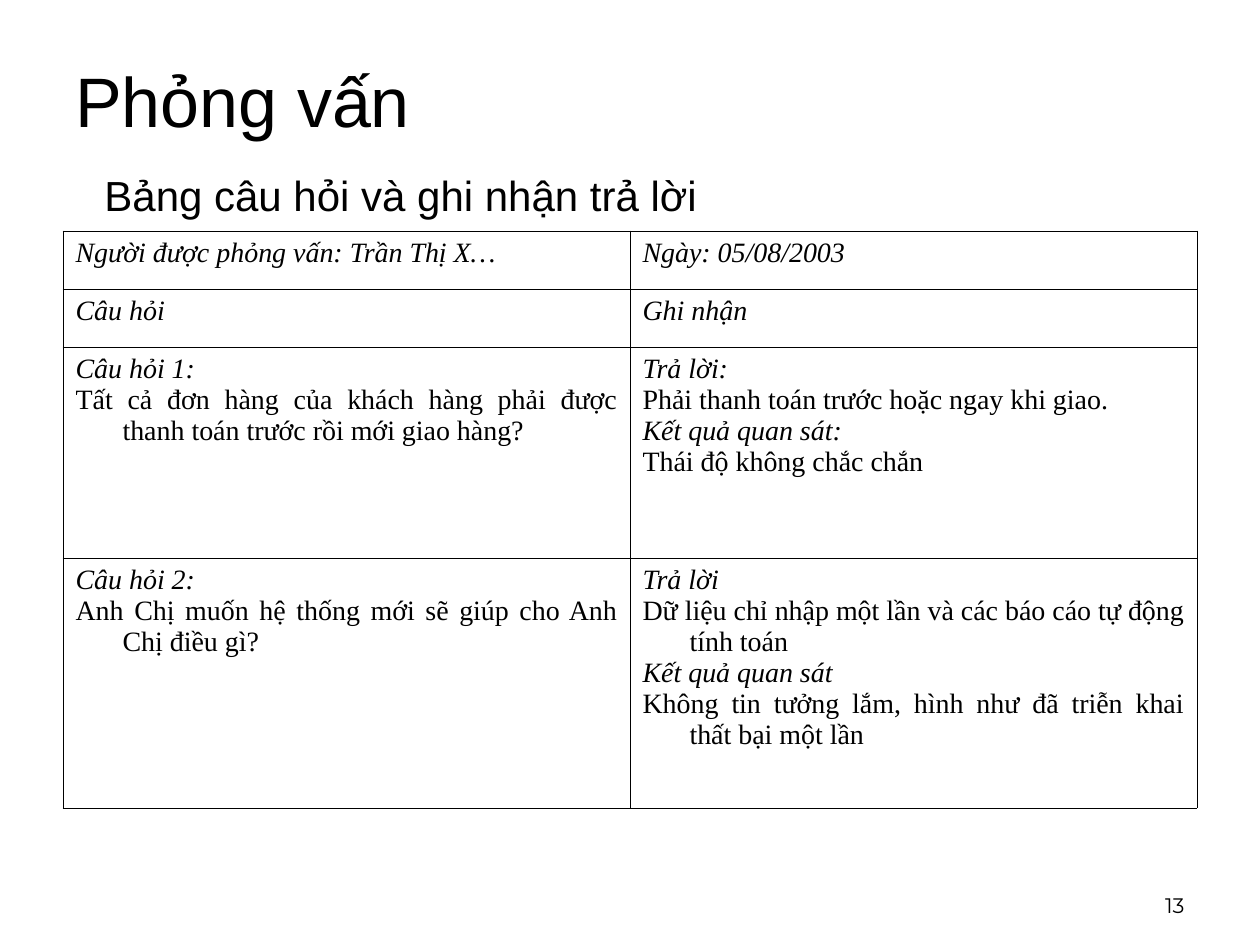
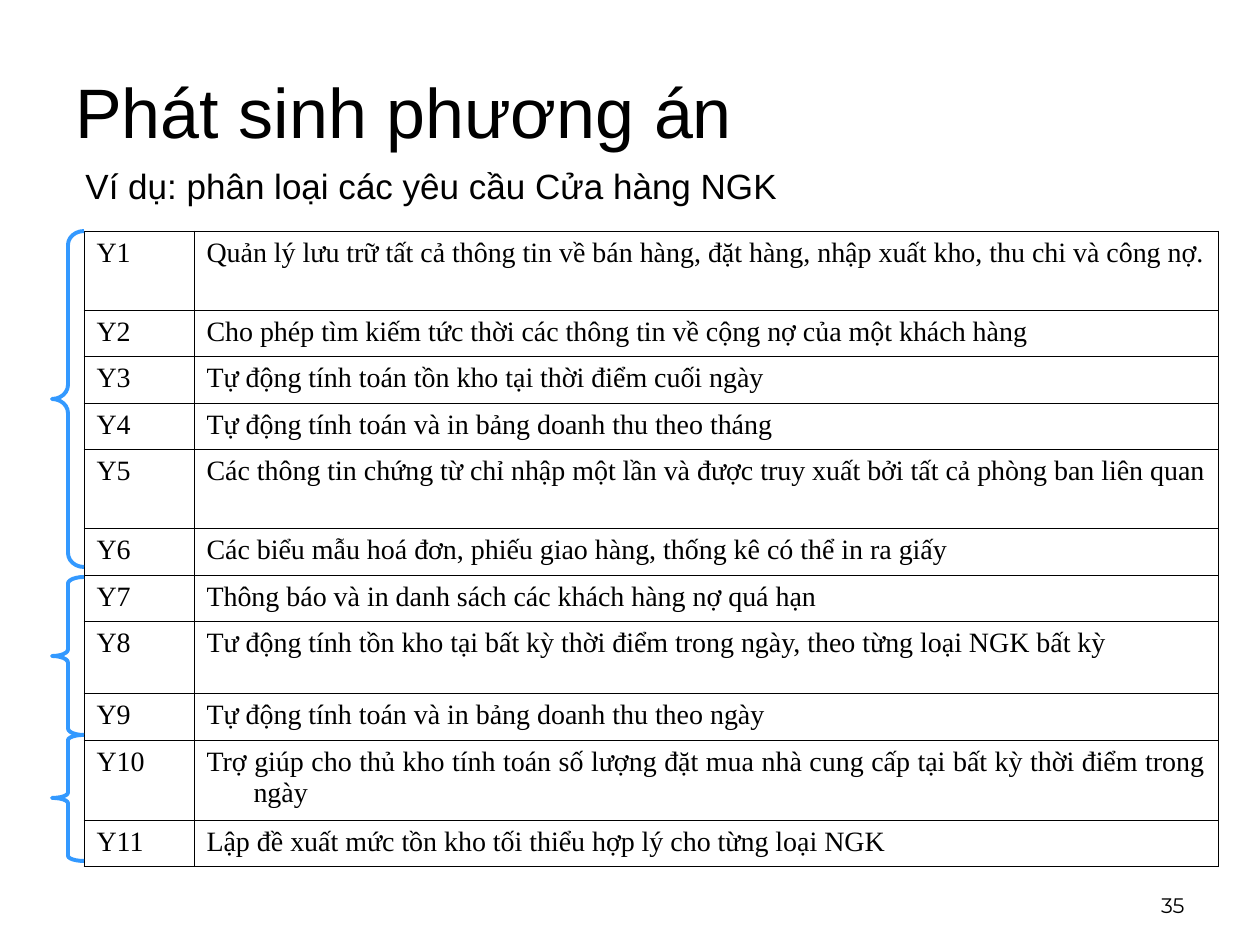
from dataclasses import dataclass

from lxml.etree import SubElement
from pptx import Presentation
from pptx.dml.color import RGBColor
from pptx.enum.shapes import MSO_SHAPE
from pptx.enum.text import MSO_ANCHOR, PP_ALIGN
from pptx.oxml.ns import qn
from pptx.util import Emu, Pt


@dataclass(frozen=True)
class Theme:
    ink: str = "000000"
    brace: str = "3399FF"
    sans: str = "Arial"
    serif: str = "Times New Roman"
    foot: str = "Montserrat"
    title: int = 40
    large: int = 24
    small: int = 20
    body: int = 16
    page: int = 12
    rule: float = 0.45
    stroke: float = 2.25


THEME = Theme()
WIDTH, HEIGHT = 1260, 945
INDENT = 47

# Each cell is a list of lines; a line is (text, italic).
TALKS = [
    [[("Người được phỏng vấn: Trần Thị X…", True)],
     [("Ngày: 05/08/2003", True)]],
    [[("Câu hỏi", True)], [("Ghi nhận", True)]],
    [[("Câu hỏi 1:", True),
      ("Tất cả đơn hàng của khách hàng phải được thanh toán trước rồi mới giao hàng?", False)],
     [("Trả lời:", True),
      ("Phải thanh toán trước hoặc ngay khi giao.", False),
      ("Kết quả quan sát:", True),
      ("Thái độ không chắc chắn", False)]],
    [[("Câu hỏi 2:", True),
      ("Anh Chị muốn hệ thống mới sẽ giúp cho Anh Chị điều gì?", False)],
     [("Trả lời", True),
      ("Dữ liệu chỉ nhập một lần và các báo cáo tự động tính toán", False),
      ("Kết quả quan sát", True),
      ("Không tin tưởng lắm, hình như đã triễn khai thất bại một lần", False)]],
]
NEEDS = [
    "Quản lý lưu trữ tất cả thông tin về bán hàng, đặt hàng, nhập xuất kho, thu chi và công nợ.",
    "Cho phép tìm kiếm tức thời các thông tin về cộng nợ của một khách hàng",
    "Tự động tính toán tồn kho tại thời điểm cuối ngày",
    "Tự động tính toán và in bảng doanh thu theo tháng",
    "Các thông tin chứng từ chỉ nhập một lần và được truy xuất bởi tất cả phòng ban liên quan",
    "Các biểu mẫu hoá đơn, phiếu giao hàng, thống kê có thể in ra giấy",
    "Thông báo và in danh sách các khách hàng nợ quá hạn",
    "Tư động tính tồn kho tại bất kỳ thời điểm trong ngày, theo từng loại NGK bất kỳ",
    "Tự động tính toán và in bảng doanh thu theo ngày",
    "Trợ giúp cho thủ kho tính toán số lượng đặt mua nhà cung cấp tại bất kỳ thời điểm trong ngày",
    "Lập đề xuất mức tồn kho tối thiểu hợp lý cho từng loại NGK",
]


def px(count):
    return Emu(round(count * 914400 / 126))


def write(para, text, size, font=THEME.sans, italic=False, align=PP_ALIGN.LEFT):
    para.alignment = align
    run = para.add_run()
    run.text = text
    run.font.name = font
    run.font.size = Pt(size)
    run.font.italic = italic
    run.font.color.rgb = RGBColor.from_string(THEME.ink)


def label(slide, box, text, size, anchor=MSO_ANCHOR.TOP, **style):
    frame = slide.shapes.add_textbox(*map(px, box)).text_frame
    frame.word_wrap = True
    frame.vertical_anchor = anchor
    write(frame.paragraphs[0], text, size, **style)


def border(cell):
    props = cell._tc.get_or_add_tcPr()
    for side in ("lnL", "lnR", "lnT", "lnB"):
        line = SubElement(props, qn(f"a:{side}"), w=str(Pt(THEME.rule)))
        fill = SubElement(line, qn("a:solidFill"))
        SubElement(fill, qn("a:srgbClr"), val=THEME.ink)


def fill_cell(cell, lines):
    border(cell)
    cell.fill.background()
    frame = cell.text_frame
    for i, (text, italic) in enumerate(lines):
        para = frame.add_paragraph() if i else frame.paragraphs[0]
        props = para._p.get_or_add_pPr()
        props.set("marL", str(px(INDENT)))
        props.set("indent", str(-px(INDENT)))
        write(para, text, THEME.body, font=THEME.serif, italic=italic,
              align=PP_ALIGN.JUSTIFY)


def grid(slide, left, top, cols, rows, cells):
    """Draw a ruled table from column widths, row heights and cell lines."""
    box = left, top, sum(cols), sum(rows)
    table = slide.shapes.add_table(len(rows), len(cols), *map(px, box)).table
    table.first_row = table.horz_banding = False
    for col, width in zip(table.columns, cols):
        col.width = px(width)
    for row, height, line in zip(table.rows, rows, cells):
        row.height = px(height)
        for cell, lines in zip(row.cells, line):
            fill_cell(cell, lines)


def brace(slide, left, top, width, height):
    shape = slide.shapes.add_shape(
        MSO_SHAPE.LEFT_BRACE, *map(px, (left, top, width, height)))
    shape.shadow.inherit = False
    shape.fill.background()
    shape.line.color.rgb = RGBColor.from_string(THEME.brace)
    shape.line.width = Pt(THEME.stroke)
    shape.adjustments[0] = height / 24 / width


def start(deck, title, height, page):
    """Add a blank slide with its title and page number."""
    slide = deck.slides.add_slide(deck.slide_layouts[6])
    label(slide, (903, 861, 294, 63), page, THEME.page, font=THEME.foot,
          anchor=MSO_ANCHOR.BOTTOM, align=PP_ALIGN.RIGHT)
    label(slide, (63, 63, 1134, height), title, THEME.title,
          anchor=MSO_ANCHOR.MIDDLE)
    return slide


def interview(deck):
    slide = start(deck, "Phỏng vấn", 73, "13")
    grid(slide, 63, 231, [567] * 2, [58, 58, 211, 250], TALKS)
    label(slide, (92, 163, 863, 63), "Bảng câu hỏi và ghi nhận trả lời",
          THEME.large)


def options(deck):
    slide = start(deck, "Phát sinh phương án", 95, "35")
    left, top, width = 84, 231, 32
    cells = [[[(f"Y{i}", False)], [(need, False)]]
             for i, need in enumerate(NEEDS, 1)]
    rows = [79, 46, 47, 46, 79, 47, 46, 72, 47, 80, 46]
    grid(slide, left, top, [110, 1024], rows, cells)
    label(slide, (73, 158, 740, 55),
          "Ví dụ: phân loại các yêu cầu Cửa hàng NGK", THEME.small)
    for shift, height in ((0, 336), (346, 158), (504, 126)):
        brace(slide, left - width, top + shift, width, height)


def main():
    deck = Presentation()
    deck.slide_width, deck.slide_height = px(WIDTH), px(HEIGHT)
    interview(deck)
    options(deck)
    deck.save("out.pptx")


if __name__ == "__main__":
    main()
